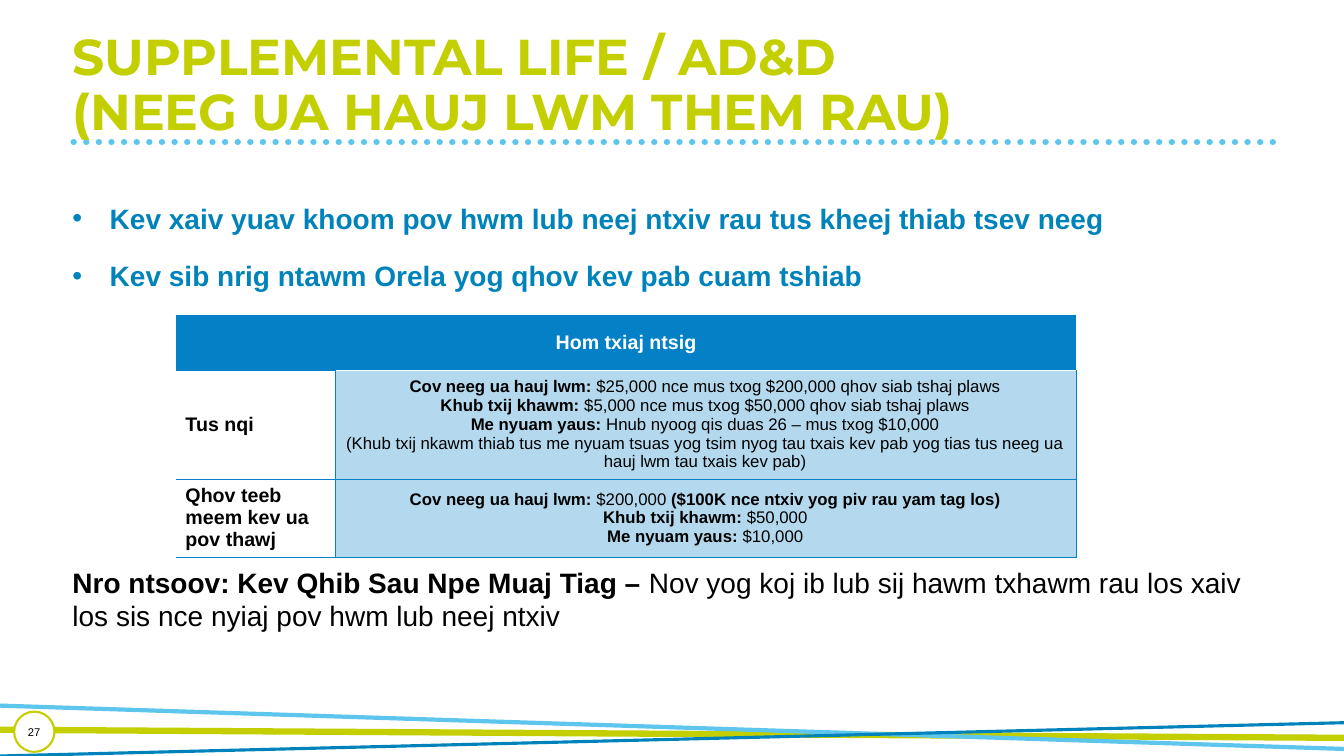
"""Build the supplemental life insurance slide in Hmong."""
from lxml.etree import SubElement
from pptx import Presentation
from pptx.dml.color import RGBColor
from pptx.enum.dml import MSO_LINE
from pptx.enum.shapes import MSO_CONNECTOR, MSO_SHAPE
from pptx.enum.text import MSO_ANCHOR, PP_ALIGN
from pptx.oxml import parse_xml
from pptx.oxml.ns import nsdecls, qn
from pptx.util import Inches, Pt

LIME = RGBColor(0xC3, 0xCF, 0x00)
SKY = RGBColor(0x5E, 0xC5, 0xED)
BLUE = RGBColor(0x00, 0x83, 0xBB)
TABLE_BLUE = RGBColor(0x04, 0x81, 0xC6)
PALE_BLUE = RGBColor(0xB4, 0xD9, 0xEE)
WHITE = RGBColor(0xFF, 0xFF, 0xFF)
BLACK = RGBColor(0, 0, 0)

TITLE = [[("SUPPLEMENTAL LIFE / AD&D", True), ("\n", True), ("(NEEG UA HAUJ LWM THEM RAU)", True)]]
BULLETS = [
    [("Kev xaiv yuav khoom pov hwm lub neej ntxiv rau tus kheej thiab tsev neeg", True)],
    [("Kev sib nrig ntawm Orela yog qhov kev pab cuam tshiab", True)],
]
NOTE = [[
    ("Nro ntsoov: Kev Qhib Sau Npe Muaj Tiag – ", True),
    ("Nov yog koj ib lub sij hawm txhawm rau los xaiv los sis nce nyiaj pov hwm lub neej ntxiv", False),
]]
HEADER = [[("Hom txiaj ntsig", True)]]
BENEFITS = [
    ("Tus nqi", [
        [("Cov neeg ua hauj lwm: ", True), ("$25,000 nce mus txog $200,000 qhov siab tshaj plaws", False)],
        [("Khub txij khawm: ", True), ("$5,000 nce mus txog $50,000 qhov siab tshaj plaws", False)],
        [("Me nyuam yaus: ", True), ("Hnub nyoog qis duas 26 – mus txog $10,000", False)],
        [("(Khub txij nkawm thiab tus me nyuam tsuas yog tsim nyog tau txais kev pab yog tias "
          "tus neeg ua hauj lwm tau txais kev pab)", False)],
    ]),
    ("Qhov teeb meem kev ua pov thawj", [
        [("Cov neeg ua hauj lwm: ", True), ("$200,000 ", False),
         ("($100K nce ntxiv yog piv rau yam tag los)", True)],
        [("Khub txij khawm: ", True), ("$50,000", False)],
        [("Me nyuam yaus: ", True), ("$10,000", False)],
    ]),
]
PAGE_NUMBER = [[("27", False)]]
COLUMN_WIDTHS = [1.57, 7.35]
ROW_HEIGHTS = [0.54, 1.05, 0.73]
RULES = [
    ((0.73, 1.41), (12.66, 1.41), SKY, 4.5, True),
    ((0, 7.24), (13.33, 7.32), LIME, 4.5, False),
    ((13.33, 7.43), (0, 7), SKY, 3, False),
    ((0, 7.5), (13.33, 7.17), BLUE, 2.25, False),
]


def write(frame, paragraphs, size, color, font="Arial", bullet=False, **layout):
    """Fill a text frame with paragraphs of (text, bold) runs."""
    frame.word_wrap = True
    for index, runs in enumerate(paragraphs):
        paragraph = frame.paragraphs[0] if index == 0 else frame.add_paragraph()
        if bullet:
            properties = paragraph._p.get_or_add_pPr()
            properties.set("marL", str(Inches(0.37)))
            properties.set("indent", str(-Inches(0.37)))
            SubElement(properties, qn("a:buFont")).set("typeface", "Arial")
            SubElement(properties, qn("a:buChar")).set("char", "•")
            if index:
                paragraph.space_before = Pt(17)
        for name, value in layout.items():
            setattr(paragraph, name, value)
        for text, bold in runs:
            if text == "\n":
                paragraph.add_line_break()
                continue
            run = paragraph.add_run()
            run.text = text
            run.font.color.rgb = color
            for name, value in {"size": Pt(size), "name": font, "bold": bold}.items():
                setattr(run.font, name, value)


def add_text(slide, box, paragraphs, size, color, **options):
    """Place a text box and write into it."""
    frame = slide.shapes.add_textbox(*map(Inches, box)).text_frame
    write(frame, paragraphs, size, color, **options)


def add_rule(slide, start, end, color, width, dotted):
    """Draw a straight rule, solid or with round dots."""
    rule = slide.shapes.add_connector(MSO_CONNECTOR.STRAIGHT, *map(Inches, start + end))
    rule.line.color.rgb = color
    rule.line.width = Pt(width)
    if dotted:
        rule.line.dash_style = MSO_LINE.ROUND_DOT
        rule.line._get_or_add_ln().set("cap", "rnd")
    SubElement(rule._element.spPr, qn("a:effectLst"))


def style_cell(cell, fill, margin, **borders):
    """Set fill, margins and the four borders of a table cell."""
    cell.fill.solid()
    cell.fill.fore_color.rgb = fill
    formats = {
        "vertical_anchor": MSO_ANCHOR.MIDDLE,
        "margin_left": Inches(0.09), "margin_right": Inches(0.09),
        "margin_top": Inches(margin), "margin_bottom": Inches(margin),
    }
    for name, value in formats.items():
        setattr(cell, name, value)
    for position, side in enumerate("LRTB"):
        color = borders.get(side)
        paint = f'<a:solidFill><a:srgbClr val="{color}"/></a:solidFill>' if color else "<a:noFill/>"
        border = parse_xml(f'<a:ln{side} {nsdecls("a")} w="{Pt(0.25)}">{paint}</a:ln{side}>')
        cell._tc.get_or_add_tcPr().insert(position, border)


def add_benefits(slide):
    """Build the benefit table."""
    box = (1.75, 3.13, sum(COLUMN_WIDTHS), sum(ROW_HEIGHTS))
    table = slide.shapes.add_table(len(ROW_HEIGHTS), len(COLUMN_WIDTHS), *map(Inches, box)).table
    table.first_row = table.horz_banding = False
    for column, width in zip(table.columns, COLUMN_WIDTHS):
        column.width = Inches(width)
    for row, height in zip(table.rows, ROW_HEIGHTS):
        row.height = Inches(height)
    table.cell(0, 0).merge(table.cell(0, 1))
    for column in range(len(COLUMN_WIDTHS)):
        style_cell(table.cell(0, column), TABLE_BLUE, 0.05, T=TABLE_BLUE, B=TABLE_BLUE)
    write(table.cell(0, 0).text_frame, HEADER, 14, WHITE, alignment=PP_ALIGN.CENTER)
    for index, (label, details) in enumerate(BENEFITS, start=1):
        label_cell, detail_cell = table.cell(index, 0), table.cell(index, 1)
        style_cell(label_cell, WHITE, 0.04, R=TABLE_BLUE, T=TABLE_BLUE, B=TABLE_BLUE)
        style_cell(detail_cell, PALE_BLUE, 0.04, L=TABLE_BLUE, R=TABLE_BLUE,
                   T=WHITE if index == 1 else TABLE_BLUE, B=TABLE_BLUE)
        write(label_cell.text_frame, [[(label, True)]], 14, BLACK)
        write(detail_cell.text_frame, details, 12, BLACK, alignment=PP_ALIGN.CENTER)


def add_page_number(slide):
    """Draw the numbered circle in the lower left corner."""
    badge = slide.shapes.add_shape(MSO_SHAPE.OVAL, *map(Inches, (0.14, 7.06, 0.4, 0.4)))
    badge.shadow.inherit = False
    badge.fill.solid()
    badge.fill.fore_color.rgb = WHITE
    badge.line.color.rgb = LIME
    badge.line.width = Pt(1.5)
    for side in ("left", "right", "top", "bottom"):
        setattr(badge.text_frame, f"margin_{side}", 0)
    badge.text_frame.vertical_anchor = MSO_ANCHOR.MIDDLE
    write(badge.text_frame, PAGE_NUMBER, 8, BLACK, alignment=PP_ALIGN.CENTER)


def main():
    """Assemble and save the slide."""
    deck = Presentation()
    deck.slide_width, deck.slide_height = Inches(13.33), Inches(7.5)
    slide = deck.slides.add_slide(deck.slide_layouts[6])
    for rule in RULES:
        add_rule(slide, *rule)
    add_text(slide, (0.62, 0.27, 12.03, 1.2), TITLE, 36, LIME, font="Montserrat", line_spacing=0.9)
    add_text(slide, (0.62, 1.95, 12.2, 1), BULLETS, 20, BLUE, bullet=True)
    add_text(slide, (0.62, 5.56, 12.2, 0.8), NOTE, 20, BLACK)
    add_benefits(slide)
    add_page_number(slide)
    deck.save("out.pptx")


if __name__ == "__main__":
    main()
